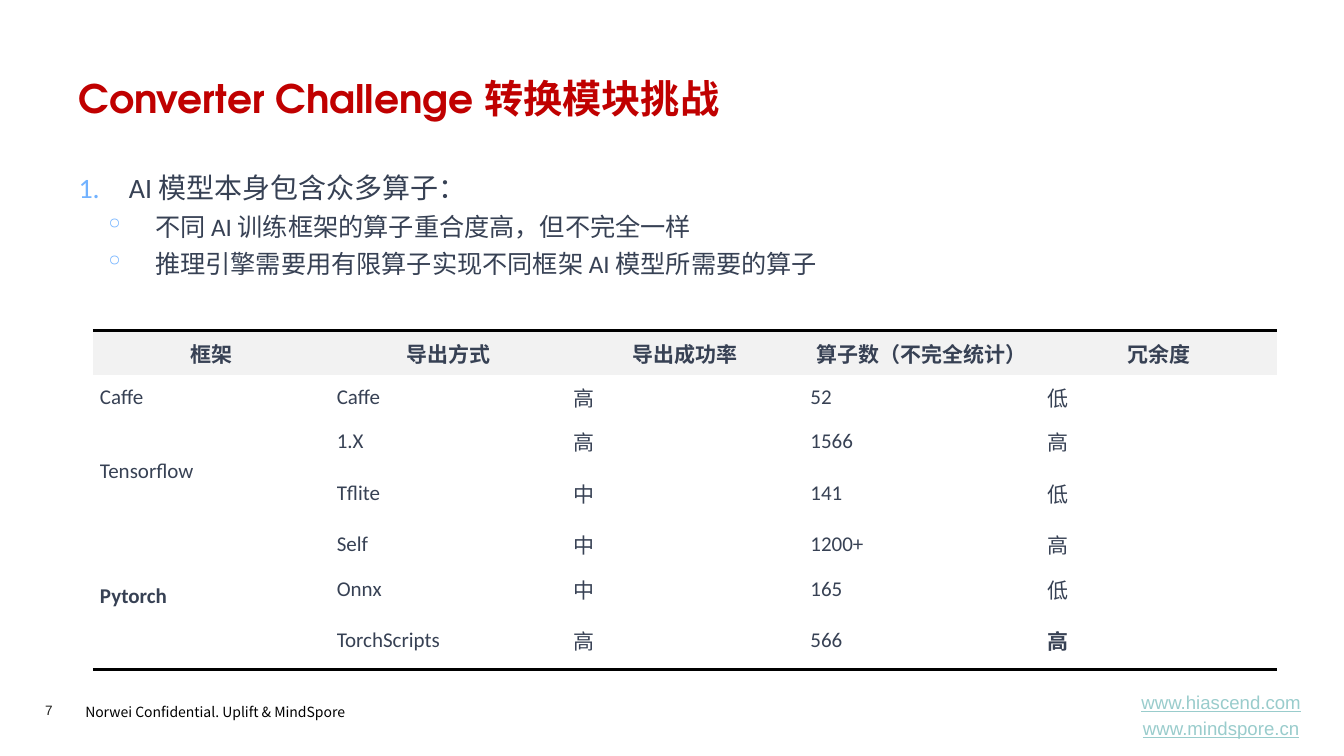
from lxml import etree
from pptx import Presentation
from pptx import util as u
from pptx.dml.color import RGBColor
from pptx.enum import text
from pptx.oxml import ns

COLORS = {
    "title": "C00000",
    "body": "374154",
    "bullet": "71B2FF",
    "link": "99CCCC",
    "number": "1D1D1B",
    "black": "000000",
    "header": "F2F2F2",
    "white": "FFFFFF",
}
CJK_FONT = "Noto Sans CJK SC"


def add_run(paragraph, words, size, font_name, color, bold=False, underline=False):
    run = paragraph.add_run()
    run.text = words
    run.font.size = u.Pt(size)
    run.font.name = font_name
    run.font.bold = bold
    run.font.underline = underline
    run.font.color.rgb = RGBColor.from_string(COLORS[color])
    properties = run.font._element
    etree.SubElement(properties, ns.qn("a:ea"), typeface=CJK_FONT)


def add_text_frame(slide, left, top, width, height):
    shape = slide.shapes.add_textbox(u.Cm(left), u.Cm(top), u.Cm(width), u.Cm(height))
    shape.text_frame.word_wrap = True
    return shape.text_frame


presentation = Presentation()
presentation.slide_width = u.Cm(33.88)
presentation.slide_height = u.Cm(19.05)
slide = presentation.slides.add_slide(presentation.slide_layouts[6])

footer = add_text_frame(slide, 1.9, 17.53, 7.95, 0.74)
footer.paragraphs[0].line_spacing = 1.2
add_run(footer.paragraphs[0], "Norwei Confidential. Uplift & MindSpore", 10, CJK_FONT, "black")

number = add_text_frame(slide, 1.14, 17.68, 1.4, 0.41)
number.margin_left = number.margin_right = number.margin_top = number.margin_bottom = 0
add_run(number.paragraphs[0], "7", 9.7, "Arial", "number")

links = add_text_frame(slide, 28.04, 17.48, 5.49, 1.09)
links.vertical_anchor = text.MSO_ANCHOR.MIDDLE
for index, address in enumerate(["www.hiascend.com", "www.mindspore.cn"]):
    paragraph = links.add_paragraph() if index else links.paragraphs[0]
    paragraph.alignment = text.PP_ALIGN.CENTER
    if index:
        paragraph.space_before = u.Pt(2.7)
    add_run(paragraph, address, 13.3, "Arial", "link", underline=True)

title = add_text_frame(slide, 1.73, 1.88, 30.45, 1.63)
title.paragraphs[0].line_spacing = 0.9
add_run(title.paragraphs[0], "Converter Challenge 转换模块挑战", 28, "TeX Gyre Adventor", "title", bold=True)

body = add_text_frame(slide, 1.73, 3.99, 30.45, 3.99)
points = [
    (0, "AI 模型本身包含众多算子："),
    (1, "不同 AI 训练框架的算子重合度高，但不完全一样"),
    (1, "推理引擎需要用有限算子实现不同框架 AI 模型所需要的算子"),
]
for index, (level, words) in enumerate(points):
    paragraph = body.add_paragraph() if index else body.paragraphs[0]
    paragraph.level = level
    properties = paragraph._p.get_or_add_pPr()
    properties.set("marL", str(u.Cm(1.93 if level else 1.27)))
    properties.set("indent", str(u.Cm(-1.27)))
    bullet_color = etree.SubElement(properties, ns.qn("a:buClr"))
    etree.SubElement(bullet_color, ns.qn("a:srgbClr"), val=COLORS["bullet"])
    if level:
        etree.SubElement(properties, ns.qn("a:buChar"), char="◦")
    else:
        etree.SubElement(properties, ns.qn("a:buAutoNum"), type="arabicPeriod")
    paragraph.line_spacing = 1.23
    add_run(paragraph, words, 18 if level else 20, "Calibri", "body")

rows = [
    ["框架", "导出方式", "导出成功率", "算子数（不完全统计）", "冗余度"],
    ["Caffe", "Caffe", "高", "52", "低"],
    ["Tensorflow", "1.X", "高", "1566", "高"],
    ["", "Tflite", "中", "141", "低"],
    ["Pytorch", "Self", "中", "1200+", "高"],
    ["", "Onnx", "中", "165", "低"],
    ["", "TorchScripts", "高", "566", "高"],
]
row_heights = [1.12, 1.12, 1.12, 1.47, 1.12, 1.12, 1.47]
bold_cells = {(4, 0), (6, 4)}
bottom_cells = {(4, 0)} | {(6, column) for column in range(5)}

frame = slide.shapes.add_table(
    len(rows), 5, u.Cm(2.34), u.Cm(8.33), u.Cm(29.85), u.Cm(sum(row_heights))
)
table = frame.table
table.first_row = False
table.horz_banding = False
style = table._tbl.tblPr.find(ns.qn("a:tableStyleId"))
style.text = "{2D5ABB26-0587-4C30-8999-92F81FD0307C}"
for column in table.columns:
    column.width = u.Cm(5.97)
for row, height in zip(table.rows, row_heights):
    row.height = u.Cm(height)
table.cell(2, 0).merge(table.cell(3, 0))
table.cell(4, 0).merge(table.cell(6, 0))

for row_index, values in enumerate(rows):
    is_header = row_index == 0
    for column_index, value in enumerate(values):
        position = (row_index, column_index)
        cell = table.cell(*position)
        cell.vertical_anchor = text.MSO_ANCHOR.MIDDLE
        cell.margin_left = cell.margin_right = u.Cm(0.18)
        cell.margin_top = cell.margin_bottom = u.Cm(0.18)
        cell.fill.solid()
        cell.fill.fore_color.rgb = RGBColor.from_string(COLORS["header" if is_header else "white"])
        if is_header or position in bottom_cells:
            border = etree.Element(ns.qn("a:lnT" if is_header else "a:lnB"), w=str(u.Pt(2)))
            border_fill = etree.SubElement(border, ns.qn("a:solidFill"))
            etree.SubElement(border_fill, ns.qn("a:srgbClr"), val=COLORS["black"])
            cell._tc.get_or_add_tcPr().insert(0, border)
        if value:
            paragraph = cell.text_frame.paragraphs[0]
            paragraph.alignment = text.PP_ALIGN.CENTER if is_header else text.PP_ALIGN.LEFT
            add_run(paragraph, value, 15, "Calibri", "body", bold=is_header or position in bold_cells)

presentation.save("out.pptx")
